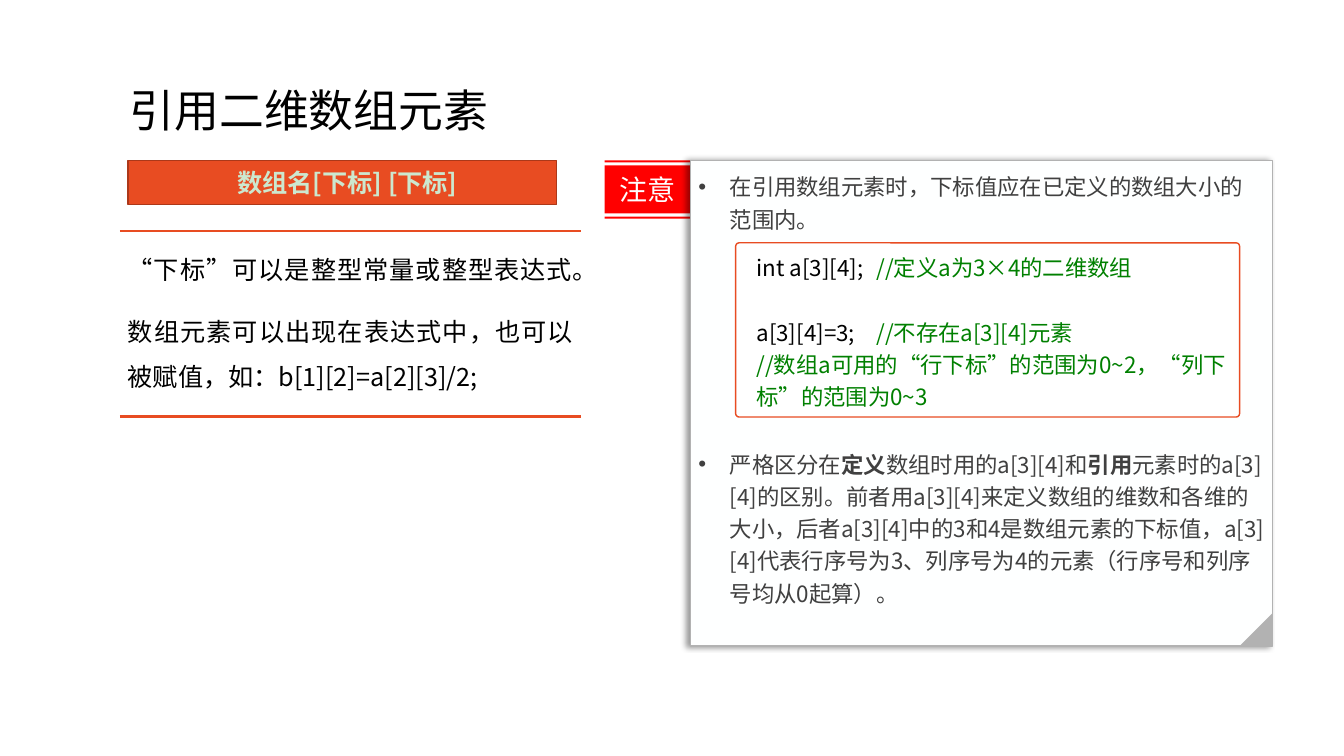
import pptx
import pptx.dml.color
import pptx.enum.shapes
import pptx.enum.text
import pptx.oxml
import pptx.oxml.ns
import pptx.util

Cm, Pt = pptx.util.Cm, pptx.util.Pt
RGB = pptx.dml.color.RGBColor
SHAPE = pptx.enum.shapes.MSO_SHAPE
ALIGN = pptx.enum.text.PP_ALIGN
ANCHOR = pptx.enum.text.MSO_ANCHOR

ORANGE = RGB(0xE8, 0x4C, 0x22)
RUST = RGB(0xAC, 0x38, 0x19)
MINT = RGB(0xCC, 0xE8, 0xCF)
RED = RGB(0xFF, 0x00, 0x00)
PAPER = RGB(0xFE, 0xFF, 0xFF)
WHITE = RGB(0xFF, 0xFF, 0xFF)
GREY = RGB(0xB2, 0xB2, 0xB2)
DARK = RGB(0x40, 0x40, 0x40)
BLACK = RGB(0x00, 0x00, 0x00)
GREEN = RGB(0x00, 0x80, 0x00)

FONT = "Noto Sans CJK SC"
EVEN = (0.2, 0.2, 0.2, 0.2)
INDENTED = (0.5, 0.13, 0.25, 0.13)


def xml(tag, attrs="", inner=""):
    ns = pptx.oxml.ns.nsdecls("a")
    return pptx.oxml.parse_xml(f"<a:{tag} {ns} {attrs}>{inner}</a:{tag}>")


class SlideWriter:
    def __init__(self, slide, font):
        self.shapes = slide.shapes
        self.font = font

    def text(self, sp, paragraphs, size, color, inset=(0.25, 0.13, 0.25, 0.13),
             anchor=ANCHOR.TOP, bullet=False, tab=None, **formats):
        """Fill sp; a paragraph is (runs, own formats), a run (text, own font formats)."""
        tf = sp.text_frame
        tf.word_wrap = True
        tf.vertical_anchor = anchor
        for side, gap in zip(("left", "top", "right", "bottom"), inset):
            setattr(tf, f"margin_{side}", Cm(gap))
        for i, (runs, own) in enumerate(paragraphs):
            p = tf.add_paragraph() if i else tf.paragraphs[0]
            pPr = p._p.get_or_add_pPr()
            if bullet:
                pPr.set("marL", str(Cm(0.79)))
                pPr.set("indent", str(-Cm(0.79)))
                pPr.append(xml("buFont", 'typeface="Arial"'))
                pPr.append(xml("buChar", 'char="•"'))
            if tab:
                pPr.append(xml("tabLst", inner=f'<a:tab pos="{Cm(tab)}" algn="l"/>'))
            for key, value in {"alignment": ALIGN.LEFT, **formats, **own}.items():
                setattr(p, key, value)
            for words, style in runs:
                r = p.add_run()
                r.text = words
                style = {"color": color, "bold": False, **style}
                r.font.color.rgb = style.pop("color")
                style.update(name=self.font, size=Pt(size))
                for key, value in style.items():
                    setattr(r.font, key, value)
                r._r.get_or_add_rPr().append(xml("ea", f'typeface="{self.font}"'))

    def paint(self, sp, fill, line=None, width=1):
        sp.shadow.inherit = False
        sp.fill.solid()
        sp.fill.fore_color.rgb = fill
        if line is None:
            sp.line.fill.background()
        else:
            sp.line.color.rgb = line
            sp.line.width = Pt(width)
        return sp

    def box(self, *place):
        return self.shapes.add_textbox(*map(Cm, place))

    def shape(self, kind, place, fill, line=None, width=1):
        return self.paint(self.shapes.add_shape(kind, *map(Cm, place)), fill, line, width)

    def rule(self, left, right, y):
        c = self.shapes.add_connector(pptx.enum.shapes.MSO_CONNECTOR.STRAIGHT,
                                      Cm(left), Cm(y), Cm(right), Cm(y))
        c.line.color.rgb = ORANGE
        c.line.width = Pt(2)
        c._element.spPr.append(xml("effectLst"))

    def strips(self, left, right, bands, fill):
        """Draw horizontal bands as one outline."""
        fb = self.shapes.build_freeform(Cm(left), Cm(bands[0][0]))
        for top, bottom in bands:
            fb.move_to(Cm(left), Cm(top))
            fb.add_line_segments([(Cm(x), Cm(y)) for x, y in
                                  ((right, top), (right, bottom), (left, bottom))])
        return self.paint(fb.convert_to_shape(), fill)

    def cast_shadow(self, sp):
        sp._element.spPr.find(pptx.oxml.ns.qn("a:effectLst")).append(xml(
            "outerShdw", f'blurRad="{Pt(4)}" dist="{Pt(3)}" dir="10800000" rotWithShape="0"',
            '<a:srgbClr val="000000"><a:alpha val="40000"/></a:srgbClr>'))


def main():
    prs = pptx.Presentation()
    prs.slide_width, prs.slide_height = Cm(33.87), Cm(19.05)
    s = SlideWriter(prs.slides.add_slide(prs.slide_layouts[6]), FONT)

    s.text(s.box(3.02, 1.02, 16.46, 3.68), [([("引用二维数组元素", {})], {})],
           32, BLACK, anchor=ANCHOR.MIDDLE, line_spacing=0.9)

    syntax = s.shape(SHAPE.RECTANGLE, (3.23, 4.04, 10.8, 1.12), ORANGE, RUST)
    s.text(syntax, [([("数组名[下标] [下标]", {"bold": True})], {})], 18, MINT,
           INDENTED, ANCHOR.MIDDLE, alignment=ALIGN.CENTER)

    for y in (5.82, 10.49):
        s.rule(3.02, 14.65, y)
    s.text(s.box(3.02, 5.82, 11.63, 4.67), [
        ([("“下标”可以是整型常量或整型表达式。", {})], {}),
        ([("数组元素可以出现在表达式中，也可以被赋值，如：b[1][2]=a[2][3]/2;", {})],
         {"space_before": Pt(6)}),
    ], 18, BLACK, EVEN, alignment=ALIGN.JUSTIFY, line_spacing=1.5, space_after=Pt(6))

    flag = s.strips(15.24, 17.4, ((4.04, 4.09), (4.17, 5.38), (5.46, 5.51)), RED)
    s.text(flag, [([("注意", {})], {})], 20, PAPER, anchor=ANCHOR.MIDDLE,
           alignment=ALIGN.CENTER)

    panel = s.shape(SHAPE.RECTANGLE, (17.4, 4.04, 14.68, 12.24), PAPER, GREY, 0.75)
    s.cast_shadow(panel)
    s.text(panel, [
        ([("在引用数组元素时，下标值应在已定义的数组大小的范围内。", {})], {}),
        ([("严格区分在", {}), ("定义", {"bold": True}),
          ("数组时用的a[3][4]和", {}), ("引用", {"bold": True}),
          ("元素时的a[3][4]的区别。前者用a[3][4]来定义数组的维数和各维的大小，"
           "后者a[3][4]中的3和4是数组元素的下标值，a[3][4]代表行序号为3、"
           "列序号为4的元素（行序号和列序号均从0起算）。", {})],
         {"space_before": Pt(146)}),
    ], 16, DARK, EVEN, bullet=True, line_spacing=1.2, space_after=Pt(6))
    fold = s.shape(SHAPE.RIGHT_TRIANGLE, (31.24, 15.44, 0.84, 0.84), GREY)
    fold.rotation = 270

    code = s.shape(SHAPE.ROUNDED_RECTANGLE, (18.54, 6.12, 12.7, 4.39), WHITE, ORANGE)
    code.adjustments[0] = 0.02
    comment = {"color": GREEN}
    s.text(code, [
        ([("int a[3][4];\t", {}), ("//定义a为3×4的二维数组", comment)], {}),
        ([("a[3][4]=3;\t", {}), ("//不存在a[3][4]元素", comment)], {"space_before": Pt(23)}),
        ([("//数组a可用的“行下标”的范围为0~2，“列下标”的范围为0~3", comment)], {}),
    ], 16, BLACK, INDENTED, tab=3.02, line_spacing=1.2)

    prs.save("out.pptx")


if __name__ == "__main__":
    main()
